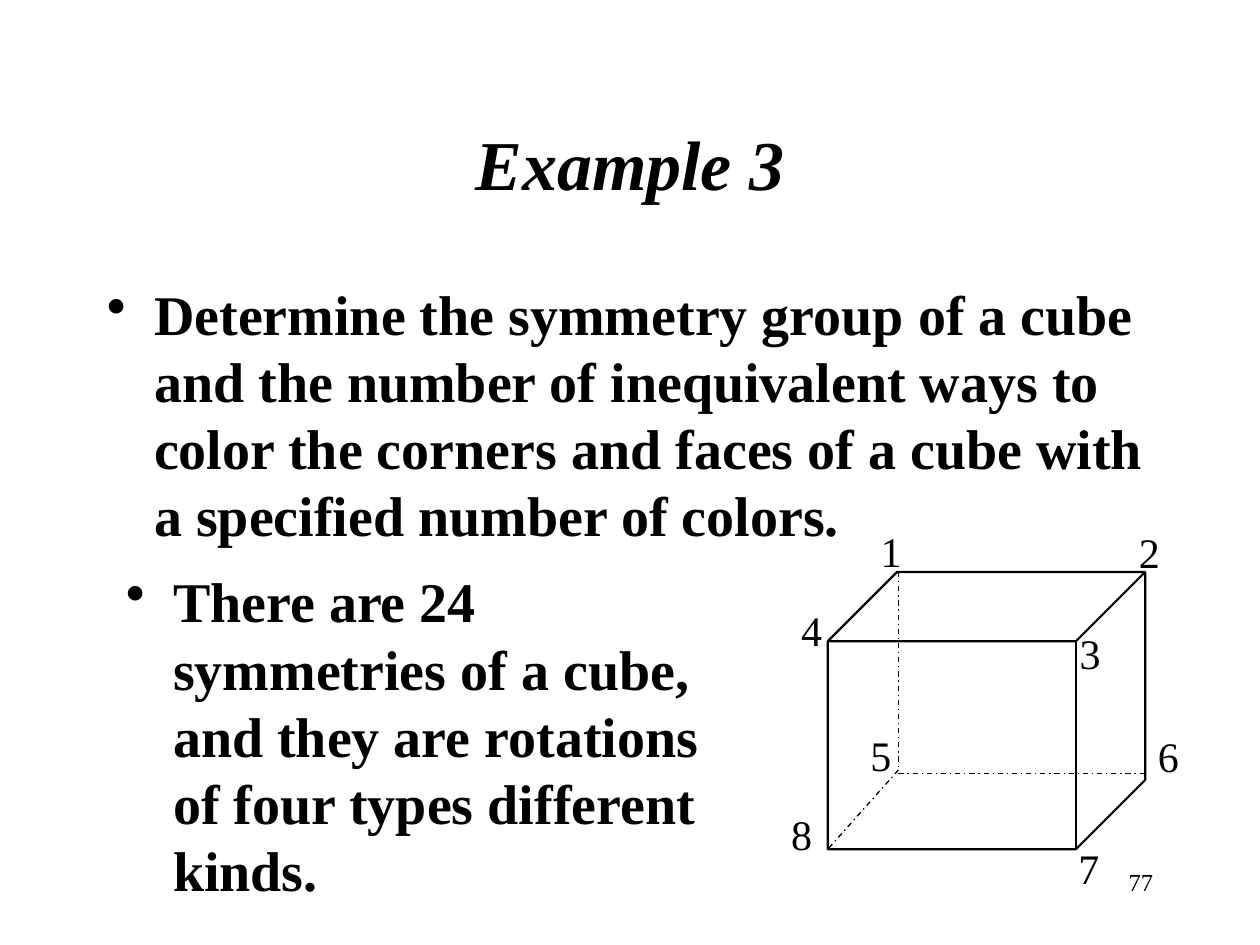
"""Build the cube symmetry example slide."""
from pptx import Presentation
from pptx.dml.color import RGBColor
from pptx.enum.dml import MSO_LINE_DASH_STYLE as Dash
from pptx.enum.shapes import MSO_CONNECTOR as Connector, MSO_SHAPE as Preset
from pptx.enum.text import MSO_ANCHOR as Anchor, PP_ALIGN as Align
from pptx.oxml.ns import qn
from pptx.util import Pt
from lxml.etree import SubElement

COLORS = {"ink": "000000", "paper": "FFFFFF"}
FONT = "Times New Roman"
SIZE = (720, 540)
BULLET_INDENT = 27

TITLE = ("Example 3", (54, 48, 612, 90))
BULLETS = [
    ("Determine the symmetry group of a cube and the number of inequivalent ways to "
     "color the corners and faces of a cube with a specified number of colors.",
     (54, 156, 612, 324)),
    ("There are 24 symmetries of a cube, and they are rotations of four types "
     "different kinds.", (64.8, 320.4, 374.4, 193.7)),
]
PAGE_NUMBER = ("77", (516, 492, 150, 36))
CUBE = (473, 326.9, 181.4, 158.4)
HIDDEN_EDGES = [
    ((513.4, 326.9), (513.4, 440)),
    ((513.4, 442.1), (655.2, 442.1)),
    ((513.4, 440), (473, 485.3)),
]
CORNER_SIZE = (39.6, 36)
CORNERS = {
    "1": (496.1, 296.6), "2": (643.7, 297.4), "3": (609.8, 355), "4": (450.7, 342),
    "5": (490.3, 413.3), "6": (654.5, 414), "7": (609.1, 478.1), "8": (445, 458.6),
}


def color(name):
    return RGBColor.from_string(COLORS[name])


def apply(target, values):
    for name, value in values.items():
        setattr(target, name, value)


def add_text(slide, text, box, size, align=Align.LEFT, anchor=Anchor.TOP,
             bullet=False, **style):
    frame = slide.shapes.add_textbox(*map(Pt, box)).text_frame
    apply(frame, {"word_wrap": True, "vertical_anchor": anchor})
    paragraph = frame.paragraphs[0]
    paragraph.text = text
    paragraph.alignment = align
    if bullet:
        properties = paragraph._p.get_or_add_pPr()
        properties.set("marL", str(Pt(BULLET_INDENT)))
        properties.set("indent", str(-Pt(BULLET_INDENT)))
        SubElement(properties, qn("a:buChar")).set("char", "•")
    font = paragraph.runs[0].font
    apply(font, {"name": FONT, "size": Pt(size), **style})
    font.color.rgb = color("ink")


def add_cube(slide):
    cube = slide.shapes.add_shape(Preset.CUBE, *map(Pt, CUBE))
    cube.adjustments[0] = 0.25
    cube.shadow.inherit = False
    cube.fill.background()
    cube.line.color.rgb = color("ink")
    cube.line.width = Pt(1.25)
    for start, end in HIDDEN_EDGES:
        edge = slide.shapes.add_connector(Connector.STRAIGHT, *map(Pt, start + end))
        edge.line.color.rgb = color("ink")
        apply(edge.line, {"width": Pt(0.75), "dash_style": Dash.DASH_DOT})
        SubElement(edge._element.spPr, qn("a:effectLst"))
    for label, position in CORNERS.items():
        add_text(slide, label, position + CORNER_SIZE, 24)


def main():
    presentation = Presentation()
    width, height = map(Pt, SIZE)
    apply(presentation, {"slide_width": width, "slide_height": height})
    slide = presentation.slides.add_slide(presentation.slide_layouts[6])
    slide.background.fill.solid()
    slide.background.fill.fore_color.rgb = color("paper")
    add_text(slide, *PAGE_NUMBER, 14, align=Align.RIGHT)
    add_text(slide, *TITLE, 40, align=Align.CENTER, anchor=Anchor.MIDDLE,
             bold=True, italic=True)
    add_cube(slide)
    for text, box in BULLETS:
        add_text(slide, text, box, 32, bullet=True, bold=True)
    presentation.save("out.pptx")


if __name__ == "__main__":
    main()
